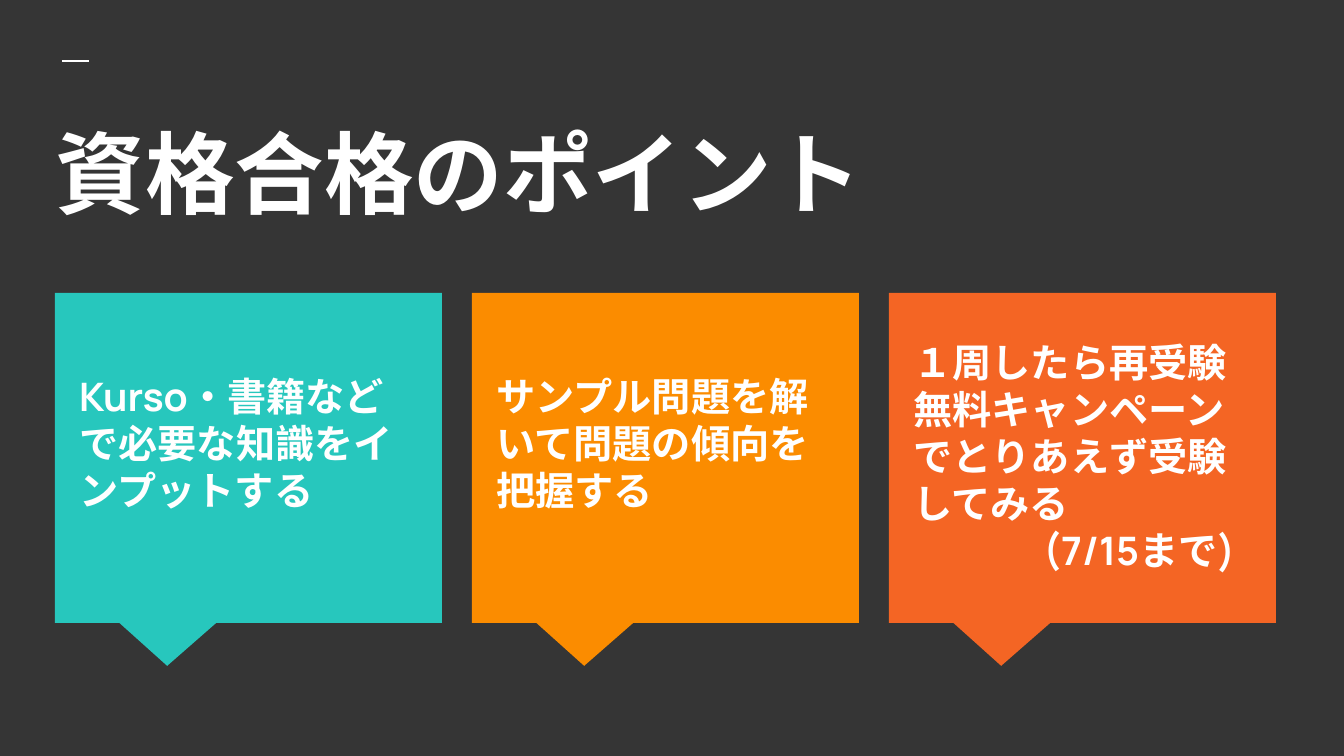
from dataclasses import dataclass

from lxml.etree import SubElement
from pptx import Presentation
from pptx.dml.color import RGBColor
from pptx.enum.shapes import MSO_CONNECTOR, MSO_SHAPE
from pptx.enum.text import MSO_ANCHOR, MSO_AUTO_SIZE, PP_ALIGN
from pptx.oxml.ns import qn
from pptx.util import Inches, Pt


@dataclass(frozen=True)
class Theme:
    font: str = "Manrope"
    background: str = "353535"
    text: str = "FFFFFF"
    teal: str = "27C7BD"
    amber: str = "FB8C00"
    orange: str = "F46524"
    title_size: int = 48
    body_size: int = 21
    rule_width: float = 1.5


THEME = Theme()
CARD_LEFT, CARD_TOP, CARD_STEP = 55, 293, 417
CARD_WIDTH, CARD_HEIGHT = 387, 330
TEXT_OFFSET, TEXT_WIDTH = 11, 364
DATE_INDENT = 130


def px(n):
    return Inches(n / 134.4)


def rgb(value):
    return RGBColor.from_string(value)


def place(sp, left, top, width, height):
    sp.left, sp.top, sp.width, sp.height = map(px, (left, top, width, height))


def setup_frame(tf):
    tf.word_wrap = True
    tf.auto_size = MSO_AUTO_SIZE.NONE
    tf.vertical_anchor = MSO_ANCHOR.TOP
    tf.margin_left = tf.margin_right = Inches(0.1)
    tf.margin_top = tf.margin_bottom = Inches(0.1)


def add_run(p, text, size):
    p.alignment = PP_ALIGN.LEFT
    r = p.add_run()
    r.text = text
    r.font.name = THEME.font
    r.font.size = Pt(size)
    r.font.bold = True
    r.font.color.rgb = rgb(THEME.text)


def add_rule(s, left, top, width):
    line = s.shapes.add_connector(
        MSO_CONNECTOR.STRAIGHT, px(left), px(top), px(left + width), px(top)
    )
    line.line.color.rgb = rgb(THEME.text)
    line.line.width = Pt(THEME.rule_width)
    SubElement(line._element.spPr, qn("a:effectLst"))


def set_title(s, text):
    sp = s.shapes.title
    place(sp, 42, 105, 1267, 150)
    setup_frame(sp.text_frame)
    add_run(sp.text_frame.paragraphs[0], text, THEME.title_size)


def add_callout(s, left, color):
    sp = s.shapes.add_shape(MSO_SHAPE.RECTANGULAR_CALLOUT, 0, 0, 0, 0)
    place(sp, left, CARD_TOP, CARD_WIDTH, CARD_HEIGHT)
    sp.adjustments[0], sp.adjustments[1] = -0.21, 0.63
    sp.fill.solid()
    sp.fill.fore_color.rgb = rgb(color)
    sp.line.fill.background()
    sp.shadow.inherit = False


def add_body(s, left, top, height, lines):
    sp = s.shapes.add_textbox(px(left), px(top), px(TEXT_WIDTH), px(height))
    tf = sp.text_frame
    setup_frame(tf)
    for i, (text, indent) in enumerate(lines):
        p = tf.add_paragraph() if i else tf.paragraphs[0]
        if indent:
            pPr = p._p.get_or_add_pPr()
            pPr.set("marL", "0")
            pPr.set("indent", str(px(indent)))
        add_run(p, text, THEME.body_size)


def main():
    prs = Presentation()
    prs.slide_width, prs.slide_height = px(1344), px(756)
    s = prs.slides.add_slide(prs.slide_layouts[5])
    s.background.fill.solid()
    s.background.fill.fore_color.rgb = rgb(THEME.background)

    add_rule(s, 62, 61, 27)
    set_title(s, "資格合格のポイント")

    cards = [
        (THEME.teal, 359, 165, [("Kurso・書籍などで必要な知識をインプットする", 0)]),
        (THEME.amber, 359, 175, [("サンプル問題を解いて問題の傾向を把握する", 0)]),
        (THEME.orange, 325, 294, [
            ("１周したら再受験無料キャンペーンでとりあえず受験してみる", 0),
            ("(7/15まで)", DATE_INDENT),
        ]),
    ]
    for i, (color, top, height, lines) in enumerate(cards):
        left = CARD_LEFT + i * CARD_STEP
        add_callout(s, left, color)
        add_body(s, left + TEXT_OFFSET, top, height, lines)

    prs.save("out.pptx")


if __name__ == "__main__":
    main()
